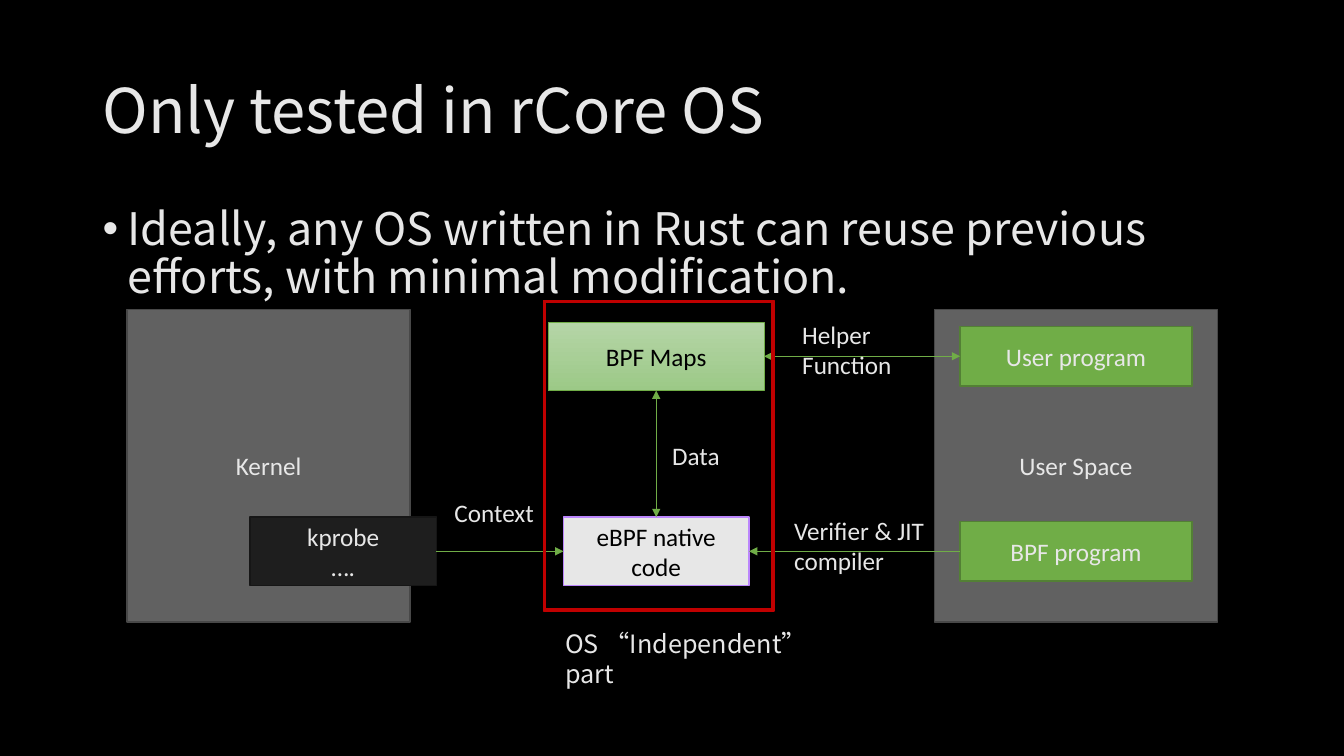
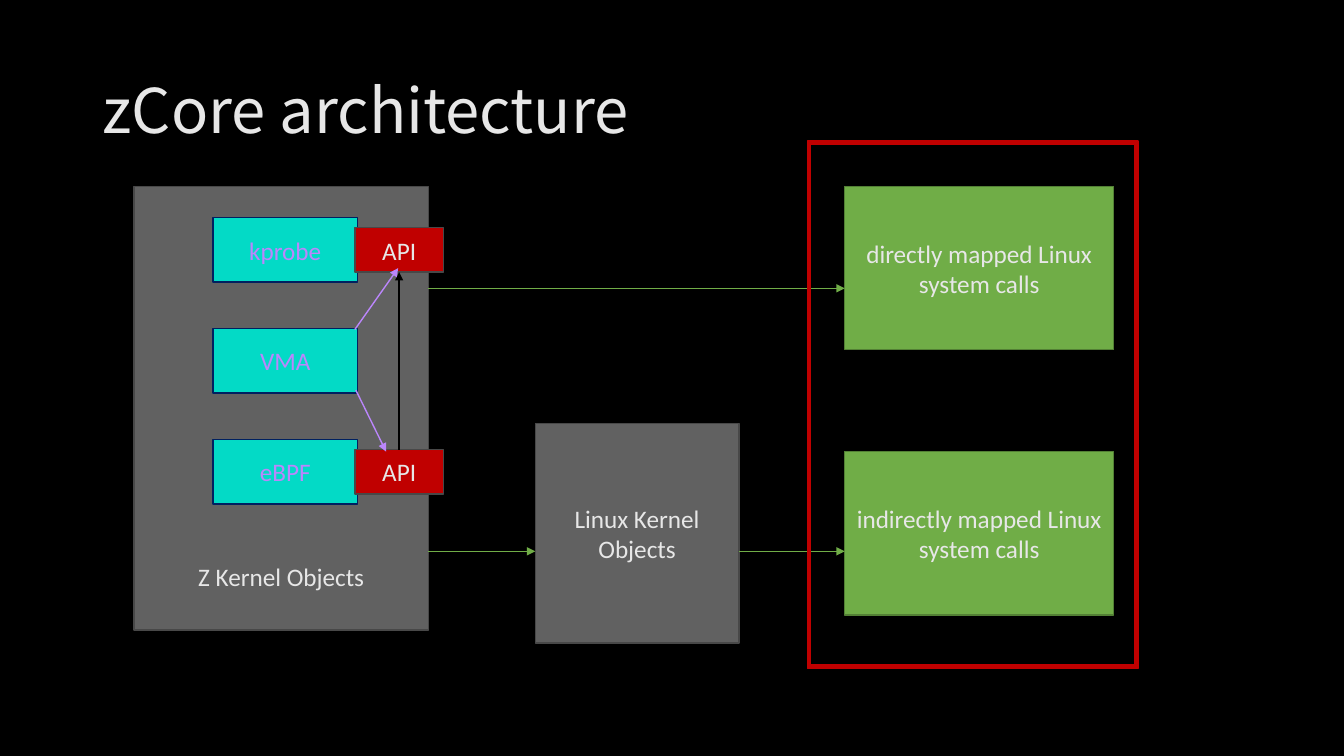
import dataclasses

import lxml.etree
import pptx
import pptx.dml.color
import pptx.enum.shapes
import pptx.enum.text
import pptx.oxml.ns
import pptx.util

COLUMNS, ROWS = 133.33, 75
CELL = pptx.util.Inches(0.1)
TOP, LEFT, BOTTOM, RIGHT = range(4)
RECTANGLE = pptx.enum.shapes.MSO_SHAPE.RECTANGLE
FRAME = pptx.enum.shapes.MSO_SHAPE.FRAME
ANCHOR = pptx.enum.text.MSO_ANCHOR
ALIGN = pptx.enum.text.PP_ALIGN


@dataclasses.dataclass(frozen=True)
class Theme:
    background: str = "000000"
    text: str = "E7E7E7"
    dark: str = "000000"
    arrow: str = "70AD47"
    accent: str = "BB86FC"
    highlight: str = "C00000"
    panel: tuple = ("616161", "484848")
    program: tuple = ("70AD47", "538035")
    probe: tuple = ("1E1E1E", "161616")
    native: tuple = ("E7E7E7", "BB86FC")
    module: tuple = ("03DAC6", "002060")
    api: tuple = ("C00000", "484848")
    maps: tuple = (("B5D5A7", "9CC987"), "70AD47")
    heading_font: str = "Noto Sans CJK SC"
    label_font: str = "Calibri"
    title_size: int = 44
    body_size: int = 32
    label_size: int = 18


THEME = Theme()


def cells(count):
    return round(count * CELL)


def rgb(code):
    return pptx.dml.color.RGBColor.from_string(code)


def add_xml(parent, tag, **attributes):
    return lxml.etree.SubElement(parent, pptx.oxml.ns.qn(tag), attributes)


def write(box, text, size=THEME.label_size, font=THEME.label_font, color=THEME.text,
          align=ALIGN.LEFT, spacing=None, bullet=False):
    box.text_frame.word_wrap = True
    box.text_frame.text = text
    for para in box.text_frame.paragraphs:
        para.alignment = align
        if spacing:
            para.line_spacing = spacing
        properties = para._p.get_or_add_pPr()
        if bullet:
            indent = cells(2.5)
            properties.set("marL", str(indent))
            properties.set("indent", str(-indent))
            add_xml(properties, "a:buFont", typeface="Arial")
            add_xml(properties, "a:buChar", char="•")
        para.font.size = pptx.util.Pt(size)
        para.font.name = font
        para.font.color.rgb = rgb(color)
        add_xml(properties.find(pptx.oxml.ns.qn("a:defRPr")), "a:ea", typeface=font)


def add_text(page, left, top, width, height, text, anchor=ANCHOR.TOP, **style):
    box = page.shapes.add_textbox(*map(cells, (left, top, width, height)))
    box.text_frame.vertical_anchor = anchor
    write(box, text, **style)
    return box


def add_outlined(page, kind, center, size, fill, line, weight=1):
    corner = [middle - extent / 2 for middle, extent in zip(center, size)]
    shape = page.shapes.add_shape(kind, *map(cells, (*corner, *size)))
    shape.shadow.inherit = False
    if isinstance(fill, tuple):
        shape.fill.gradient()
        shape.fill.gradient_angle = 270
        for stop, color in zip(shape.fill.gradient_stops, fill):
            stop.color.rgb = rgb(color)
    else:
        shape.fill.solid()
        shape.fill.fore_color.rgb = rgb(fill)
    shape.line.color.rgb = rgb(line)
    shape.line.width = pptx.util.Pt(weight)
    return shape


def add_node(page, text, center, size, paint, color=THEME.text, weight=1):
    node = add_outlined(page, RECTANGLE, center, size, *paint, weight)
    write(node, text, color=color, align=ALIGN.CENTER)
    return node


def add_frame(page, center, size):
    frame = add_outlined(page, FRAME, center, size, THEME.highlight, THEME.highlight)
    frame.adjustments[0] = 0.01


def add_arrow(page, start, end, color=THEME.arrow, weight=0.5, both=False):
    glued = [isinstance(target[0], (int, float)) is False for target in (start, end)]
    points = [(0, 0) if joined else tuple(map(cells, target))
              for joined, target in zip(glued, (start, end))]
    arrow = page.shapes.add_connector(
        pptx.enum.shapes.MSO_CONNECTOR.STRAIGHT, *points[0], *points[1])
    if glued[0]:
        arrow.begin_connect(*start)
    if glued[1]:
        arrow.end_connect(*end)
    arrow.line.color.rgb = rgb(color)
    arrow.line.width = pptx.util.Pt(weight)
    line = arrow.line._get_or_add_ln()
    if both:
        add_xml(line, "a:headEnd", type="triangle")
    add_xml(line, "a:tailEnd", type="triangle")
    add_xml(arrow._element.spPr, "a:effectLst")


def add_page(deck, title):
    page = deck.slides.add_slide(deck.slide_layouts[6])
    page.background.fill.solid()
    page.background.fill.fore_color.rgb = rgb(THEME.background)
    add_text(page, 9.2, 4, 115, 14.5, title, anchor=ANCHOR.MIDDLE,
             size=THEME.title_size, font=THEME.heading_font, spacing=0.9)
    return page


def build_portability(deck):
    page = add_page(deck, "Only tested in rCore OS")
    add_text(page, 9.2, 20, 115, 47.6,
             "Ideally, any OS written in Rust can reuse previous efforts, "
             "with minimal modification.",
             size=THEME.body_size, font=THEME.heading_font, spacing=0.9, bullet=True)

    kernel_x, core_x, user_x = 26.65, 65.1, 106.75
    upper, lower = 35.35, 54.7
    panel_size, program_size = (28.1, 31), (23, 5.9)
    for name, x in (("Kernel", kernel_x), ("User Space", user_x)):
        add_node(page, name, (x, 46.2), panel_size, THEME.panel)
    kprobe = add_node(page, "kprobe\n….", (34.05, lower), (18.5, 6.8), THEME.probe)
    native = add_node(page, "eBPF native code", (core_x, lower), (18.4, 6.8),
                      THEME.native, THEME.dark)
    maps = add_node(page, "BPF Maps", (core_x, upper), (21.4, 6.8),
                    THEME.maps, THEME.dark, 0.5)
    user_program, bpf_program = [
        add_node(page, name, (user_x, y), program_size, THEME.program)
        for name, y in (("User program", upper), ("BPF program", lower))]

    add_arrow(page, (kprobe, RIGHT), (native, LEFT))
    add_arrow(page, (native, TOP), (maps, BOTTOM), both=True)
    add_arrow(page, (user_program, LEFT), (maps, RIGHT), both=True)
    add_arrow(page, (bpf_program, LEFT), (native, RIGHT))

    for text, left, top, width, height in (
            ("Context", 44.1, 48.8, 17.4, 4),
            ("Data", 65.7, 43.2, 19.5, 4),
            ("Helper Function", 78.6, 31.2, 13.8, 7.1),
            ("Verifier & JIT compiler", 77.8, 50.6, 15.4, 7.1)):
        add_text(page, left, top, width, height, text)
    add_frame(page, (65.35, 45.2), (22.9, 30.8))
    add_text(page, 55.1, 61.8, 27, 4, "OS “Independent” part", font=THEME.heading_font)


def build_architecture(deck):
    page = add_page(deck, "zCore architecture")
    panel = add_node(page, "Z Kernel Objects", (27.9, 40.5), (29.2, 44), THEME.panel)
    panel.text_frame.vertical_anchor = ANCHOR.BOTTOM
    panel.text_frame.margin_bottom = cells(3.8)

    upper, lower, call_x, call_left = 26.6, 52.9, 97.15, 83.8
    add_node(page, "Linux Kernel Objects", (63.2, lower), (20.2, 21.8), THEME.panel)
    for text, y in (("directly mapped Linux system calls", upper),
                    ("indirectly mapped Linux system calls", lower)):
        add_node(page, text, (call_x, y), (26.7, 16.2), THEME.program)
    for start, end, y in ((42.5, 53.1, 54.7), (42.5, call_left, 28.6),
                          (73.3, call_left, 54.7)):
        add_arrow(page, (start, y), (end, y))
    add_frame(page, (96.5, 40.15), (32.8, 52.3))

    first, step = 24.8, 11
    for index, name in enumerate(("kprobe", "VMA", "eBPF")):
        add_node(page, name, (28.3, first + index * step), (14.3, 6.4),
                 THEME.module, THEME.accent)
    upper_api, lower_api = [
        add_node(page, "API", (39.6, y), (8.8, 4.4), THEME.api)
        for y in (first, first + 2 * step)]
    add_arrow(page, (lower_api, TOP), (upper_api, BOTTOM), THEME.dark, 1)
    add_arrow(page, (35.3, 38.7), (38.3, 44.8), THEME.accent, 1)
    add_arrow(page, (35.2, 32.7), (39.5, 26.6), THEME.accent, 1)


def main():
    deck = pptx.Presentation()
    deck.slide_width, deck.slide_height = cells(COLUMNS), cells(ROWS)
    build_portability(deck)
    build_architecture(deck)
    deck.save("out.pptx")


if __name__ == "__main__":
    main()
